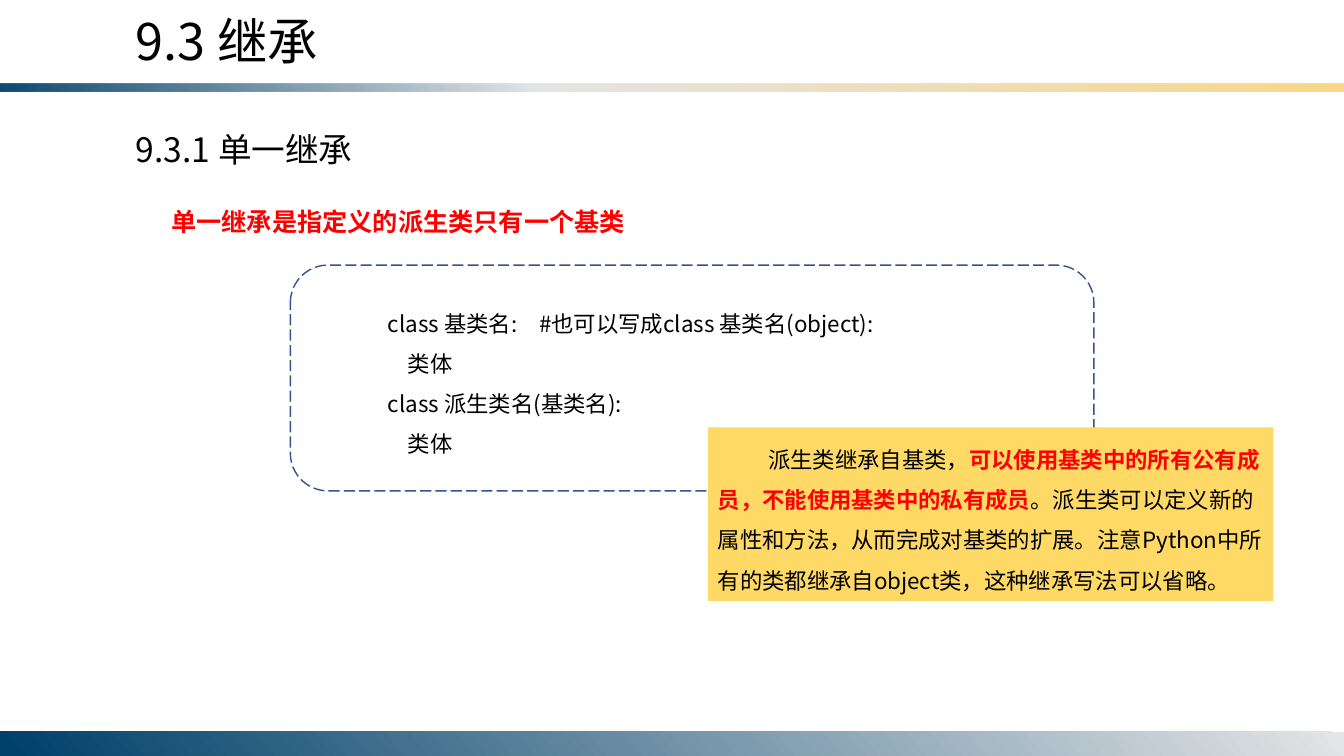
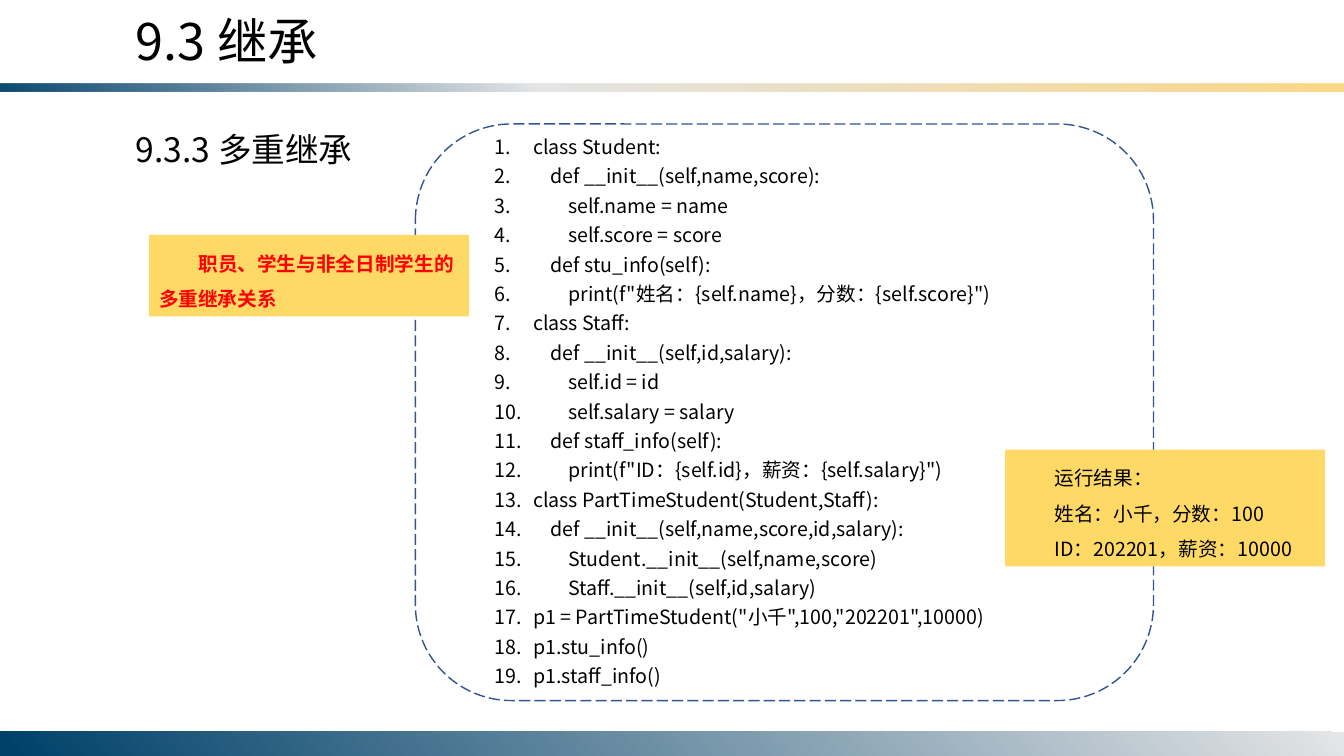
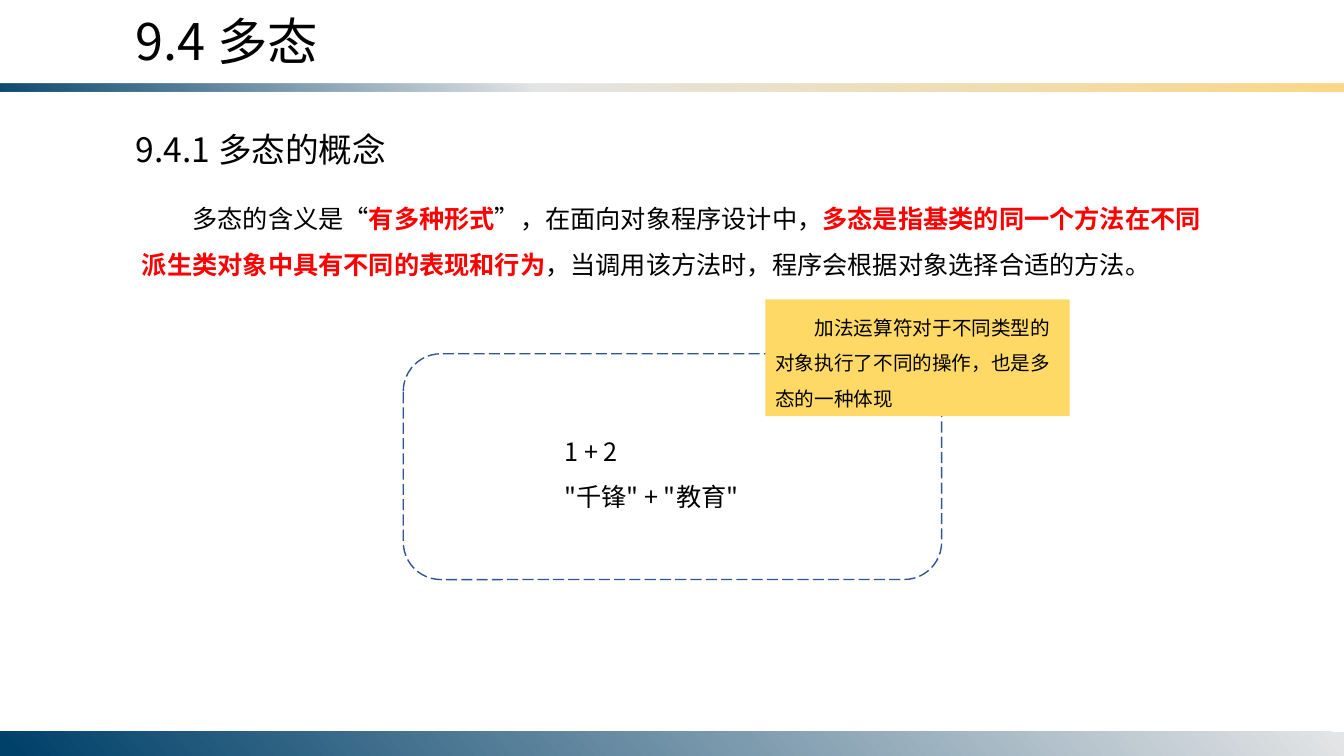
"""Build three lecture slides on Python inheritance and polymorphism."""
from lxml import etree
from pptx import Presentation
from pptx.dml.color import RGBColor
from pptx.enum.dml import MSO_LINE
from pptx.enum.shapes import MSO_SHAPE
from pptx.enum.text import MSO_ANCHOR, MSO_AUTO_SIZE, PP_ALIGN
from pptx.oxml.ns import qn
from pptx.util import Inches, Pt

RECTANGLE, ROUNDED = MSO_SHAPE.RECTANGLE, MSO_SHAPE.ROUNDED_RECTANGLE
LONG_DASH = MSO_LINE.LONG_DASH
TOP, LEFT = MSO_ANCHOR.TOP, PP_ALIGN.LEFT
GROW = MSO_AUTO_SIZE.SHAPE_TO_FIT_TEXT

WIDTH, HEIGHT = 13.33, 7.5
FONT = "Noto Sans CJK SC"
BLACK, RED, YELLOW, FRAME_BLUE = "000000", "FF0000", "FFD966", "325491"
NAVY, SILVER, GOLD = "00416A", "E4E5E6", "FBD786"
EMPHASIS = "**"

BANDS = [
    {"box": (0, 0.83, WIDTH, 0.08), "angle": 50, "flip": True,
     "stops": [(0, NAVY, 95), (40, SILVER, 100), (100, GOLD, 100)]},
    {"box": (0, HEIGHT - 0.24, WIDTH, 0.24), "angle": 140, "flip": False,
     "stops": [(0, SILVER, 100), (99, NAVY, 100)]},
]
TITLE = {"box": (1.25, 0.05, 6.12, 0.71), "size": 36, "spacing": None}
HEADING = {"box": (1.25, 1.23, 5.16, 0.5), "size": 24, "spacing": None}

SYNTAX = [
    "class 基类名:\t#也可以写成class 基类名(object):",
    "    类体",
    "class 派生类名(基类名):",
    "    类体",
]
LISTING = [
    "class Student:",
    "    def __init__(self,name,score):",
    "        self.name = name",
    "        self.score = score",
    "    def stu_info(self):",
    "        print(f\"姓名：{self.name}，分数：{self.score}\")",
    "class Staff:",
    "    def __init__(self,id,salary):",
    "        self.id = id",
    "        self.salary = salary",
    "    def staff_info(self):",
    "        print(f\"ID：{self.id}，薪资：{self.salary}\")",
    "class PartTimeStudent(Student,Staff):",
    "    def __init__(self,name,score,id,salary):",
    "        Student.__init__(self,name,score)",
    "        Staff.__init__(self,id,salary)",
    "p1 = PartTimeStudent(\"小千\",100,\"202201\",10000)",
    "p1.stu_info()",
    "p1.staff_info()",
]
SLIDES = [
    {"title": "9.3 继承", "heading": "9.3.1 单一继承",
     "frame": (2.88, 2.63, 7.97, 2.24),
     "texts": [
         {"box": (3.75, 2.89, 6.23, 1.72), "size": 16, "tab": 2.27, "lines": SYNTAX},
         {"box": (1.6, 1.85, 5.42, 0.55), "size": 18,
          "lines": ["**单一继承是指定义的派生类只有一个基类**"]},
         {"box": (7.02, 4.24, 5.61, 1.72), "size": 16, "indent": 0.5, "fill": YELLOW,
          "lines": ["派生类继承自基类，**可以使用基类中的所有公有成员，不能使用基类中的私有成员**"
                    "。派生类可以定义新的属性和方法，从而完成对基类的扩展。"
                    "注意Python中所有的类都继承自object类，这种继承写法可以省略。"]},
     ]},
    {"title": "9.3 继承", "heading": "9.3.3 多重继承",
     "frame": (4.12, 1.23, 7.32, 5.72),
     "texts": [
         {"box": (4.81, 1.23, 5.68, 5.7), "size": 14, "spacing": 1.25,
          "margin": 0.38, "indent": -0.38, "numbered": True, "lines": LISTING},
         {"box": (9.97, 4.46, 3.17, 1.16), "size": 14, "indent": 0.39, "fill": YELLOW,
          "lines": ["运行结果：", "姓名：小千，分数：100", "ID：202201，薪资：10000"]},
         {"box": (1.48, 2.33, 3.17, 0.81), "size": 14, "indent": 0.39, "fill": YELLOW,
          "lines": ["**职员、学生与非全日制学生的多重继承关系**"]},
     ]},
    {"title": "9.4 多态", "heading": "9.4.1 多态的概念",
     "frame": (4, 3.51, 5.34, 2.24),
     "texts": [
         {"box": (1.31, 1.82, 10.72, 1.01), "size": 18, "indent": 0.5,
          "lines": ["多态的含义是“**有多种形式**”，在面向对象程序设计中，"
                    "**多态是指基类的同一个方法在不同派生类对象中具有不同的表现和行为**"
                    "，当调用该方法时，程序会根据对象选择合适的方法。"]},
         {"box": (5.5, 4.13, 2.32, 1.01), "size": 18,
          "lines": ["1 + 2", "\"千锋\" + \"教育\""]},
         {"box": (7.59, 2.97, 3.02, 1.16), "size": 14, "indent": 0.39, "fill": YELLOW,
          "lines": ["加法运算符对于不同类型的对象执行了不同的操作，也是多态的一种体现"]},
     ]},
]


def color(value):
    return RGBColor.from_string(value)


def add_shape(slide, kind, box):
    shape = slide.shapes.add_shape(kind, *map(Inches, box))
    shape.shadow.inherit = False
    shape.fill.background()
    shape.line.fill.background()
    return shape


def add_band(slide, box, angle, flip, stops):
    shape = add_shape(slide, RECTANGLE, box)
    shape.fill.gradient()
    gradient = shape.element.spPr.find(qn("a:gradFill"))
    stop_list = gradient.find(qn("a:gsLst"))
    for stop in list(stop_list):
        stop_list.remove(stop)
    for position, value, alpha in stops:
        stop = etree.SubElement(stop_list, qn("a:gs"), pos=str(position * 1000))
        tint = etree.SubElement(stop, qn("a:srgbClr"), val=value)
        if alpha < 100:
            etree.SubElement(tint, qn("a:alpha"), val=str(alpha * 1000))
    gradient.find(qn("a:lin")).set("ang", str(angle * 60000))
    if flip:
        shape.element.spPr.find(qn("a:xfrm")).set("flipV", "1")
    return shape


def add_frame(slide, box):
    frame = add_shape(slide, ROUNDED, box)
    frame.line.color.rgb = color(FRAME_BLUE)
    frame.line.width = Pt(1)
    frame.line.dash_style = LONG_DASH


def add_runs(paragraph, line, size):
    for index, piece in enumerate(line.split(EMPHASIS)):
        if not piece:
            continue
        strong = index % 2 == 1
        run = paragraph.add_run()
        run.text = piece
        run.font.size = Pt(size)
        run.font.bold = strong
        run.font.color.rgb = color(RED if strong else BLACK)
        run.font.name = FONT
        etree.SubElement(run.font._element, qn("a:ea"), typeface=FONT)


def add_text(slide, box, size, lines, spacing=1.5, margin=0, indent=0,
             tab=None, numbered=False, fill=None):
    if fill:
        shape = add_shape(slide, RECTANGLE, box)
        shape.fill.solid()
        shape.fill.fore_color.rgb = color(fill)
    else:
        shape = slide.shapes.add_textbox(*map(Inches, box))
    text_frame = shape.text_frame
    text_frame.word_wrap = True
    text_frame.auto_size = GROW
    text_frame.vertical_anchor = TOP
    for index, line in enumerate(lines):
        paragraph = text_frame.add_paragraph() if index else text_frame.paragraphs[0]
        paragraph.alignment = LEFT
        paragraph.line_spacing = spacing
        properties = paragraph._p.get_or_add_pPr()
        properties.set("marL", str(Inches(margin)))
        properties.set("indent", str(Inches(indent)))
        if numbered:
            etree.SubElement(properties, qn("a:buFont"), typeface=FONT)
            etree.SubElement(properties, qn("a:buAutoNum"), type="arabicPeriod")
        if tab and "\t" in line:
            tabs = etree.SubElement(properties, qn("a:tabLst"))
            etree.SubElement(tabs, qn("a:tab"), pos=str(Inches(tab)), algn="l")
        add_runs(paragraph, line, size)


def main():
    presentation = Presentation()
    presentation.slide_width = Inches(WIDTH)
    presentation.slide_height = Inches(HEIGHT)
    layout = presentation.slide_layouts[6]
    slides = [presentation.slides.add_slide(layout) for _ in SLIDES]
    for band in BANDS:
        layout.shapes.element.append(add_band(slides[0], **band).element)
    for slide, content in zip(slides, SLIDES):
        add_text(slide, lines=[content["title"]], **TITLE)
        add_text(slide, lines=[content["heading"]], **HEADING)
        add_frame(slide, content["frame"])
        for text in content["texts"]:
            add_text(slide, **text)
    presentation.save("out.pptx")


if __name__ == "__main__":
    main()
